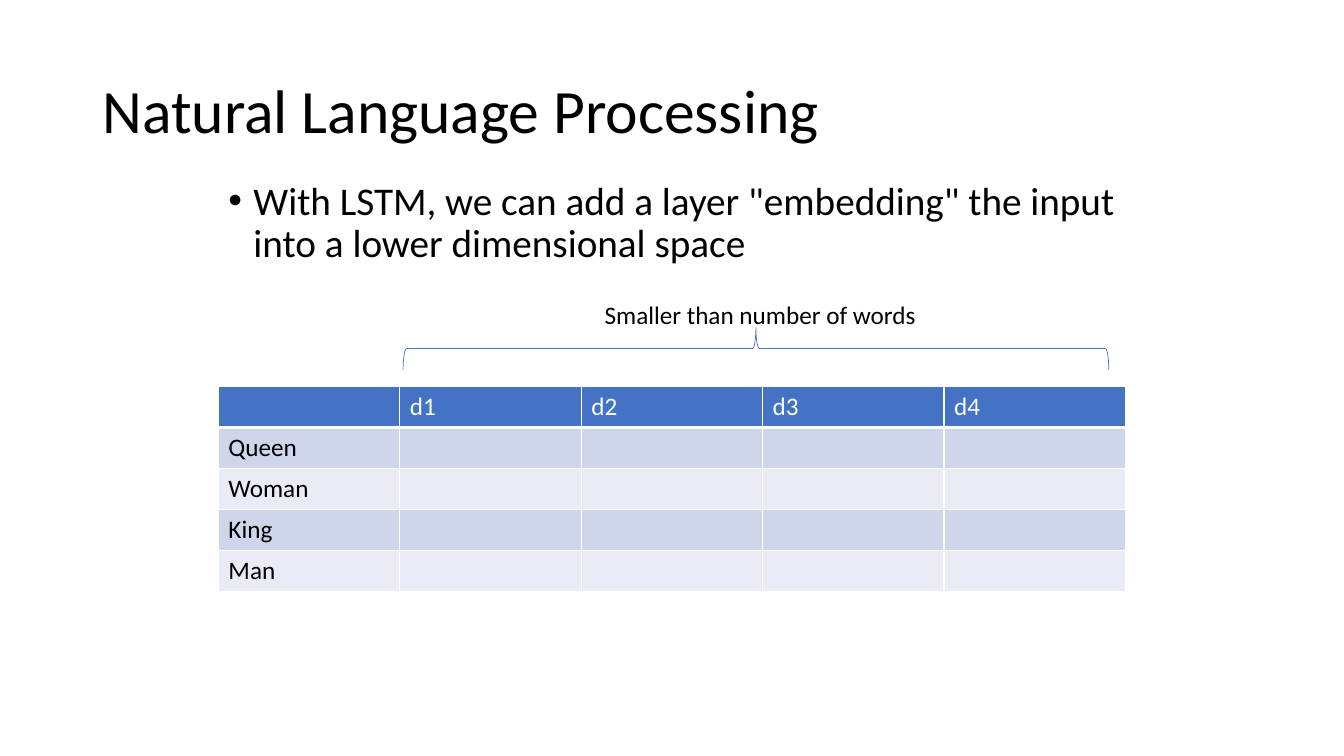
from lxml.etree import SubElement
from pptx import Presentation
from pptx.dml.color import RGBColor
from pptx.enum.shapes import MSO_SHAPE
from pptx.enum.text import MSO_ANCHOR, PP_ALIGN
from pptx.oxml.ns import qn
from pptx.util import Inches, Pt

BLACK = RGBColor(0, 0, 0)
WHITE = RGBColor(255, 255, 255)
BLUE = RGBColor(0x44, 0x72, 0xC4)
BANDS = RGBColor(0xCF, 0xD5, 0xEA), RGBColor(0xE9, 0xEB, 0xF5)
WIDE, HIGH = Inches(13.33), Inches(7.5)
COLS, ROWS = 160, 90


def assign(target, values):
    for name, value in values.items():
        setattr(target, name, value)


class Sheet:
    face = "Calibri"

    def __init__(self, deck):
        self.slide = deck.slides.add_slide(deck.slide_layouts[6])
        self.shapes = self.slide.shapes

    def place(self, left, top, width, height):
        col, row = WIDE / COLS, HIGH / ROWS
        return [round(n) for n in (left * col, top * row, width * col, height * row)]

    def label(self, para, words, size, color=BLACK):
        para.text = words
        assign(para.font, {"name": self.face, "size": Pt(size), "bold": False})
        para.font.color.rgb = color

    def text(self, area, words, size, frame={}, para={}, bullet=None):
        box = self.shapes.add_textbox(*self.place(*area)).text_frame
        assign(box, {"word_wrap": True, **frame})
        line = box.paragraphs[0]
        assign(line, para)
        if bullet:
            props = line._p.get_or_add_pPr()
            props.set("marL", str(Inches(0.25)))
            props.set("indent", str(Inches(-0.25)))
            SubElement(props, qn("a:buFont"), typeface="Arial")
            SubElement(props, qn("a:buChar"), char=bullet)
        self.label(line, words, size)

    def brace(self, area):
        mark = self.shapes.add_shape(MSO_SHAPE.RIGHT_BRACE, *self.place(*area))
        mark.shadow.inherit = False
        mark.rotation = 270
        mark.fill.background()
        mark.line.color.rgb = BLUE
        mark.line.width = Pt(0.5)

    def edge(self, cell, side, width):
        props = cell._tc.get_or_add_tcPr()
        line = SubElement(props, qn(f"a:{side}"), w=str(Pt(width)))
        solid = SubElement(line, qn("a:solidFill"))
        SubElement(solid, qn("a:srgbClr"), val=str(WHITE))

    def table(self, area, rows):
        grid = self.shapes.add_table(len(rows), len(rows[0]), *self.place(*area)).table
        for r, row in enumerate(rows):
            for c, words in enumerate(row):
                cell = grid.cell(r, c)
                for side in ("lnL", "lnR", "lnT", "lnB"):
                    heavy = (r, side) in ((0, "lnB"), (1, "lnT"))
                    self.edge(cell, side, 3 if heavy else 1)
                cell.fill.solid()
                cell.fill.fore_color.rgb = BANDS[(r - 1) % 2] if r else BLUE
                ink = BLACK if r else WHITE
                self.label(cell.text_frame.paragraphs[0], words, 18, ink)


def main():
    deck = Presentation()
    assign(deck, {"slide_width": WIDE, "slide_height": HIGH})
    sheet = Sheet(deck)
    sheet.text((11, 4.8, 138, 17.4), "Natural Language Processing", 44,
               {"vertical_anchor": MSO_ANCHOR.MIDDLE}, {"line_spacing": 0.9})
    sheet.text((26, 21, 108, 17), 'With LSTM, we can add a layer "embedding" the input '
               "into a lower dimensional space", 28,
               para={"line_spacing": 0.9}, bullet="•")
    heads = ["", "d1", "d2", "d3", "d4"]
    names = ["Queen", "Woman", "King", "Man"]
    blank = [""] * (len(heads) - 1)
    sheet.table((26, 46, 108, 24.4), [heads] + [[name] + blank for name in names])
    sheet.brace((87.5, -0.5, 5, 84))
    sheet.text((70.5, 35, 40, 4.8), "Smaller than number of words", 18,
               {"word_wrap": False}, {"alignment": PP_ALIGN.CENTER})
    deck.save("out.pptx")


if __name__ == "__main__":
    main()
